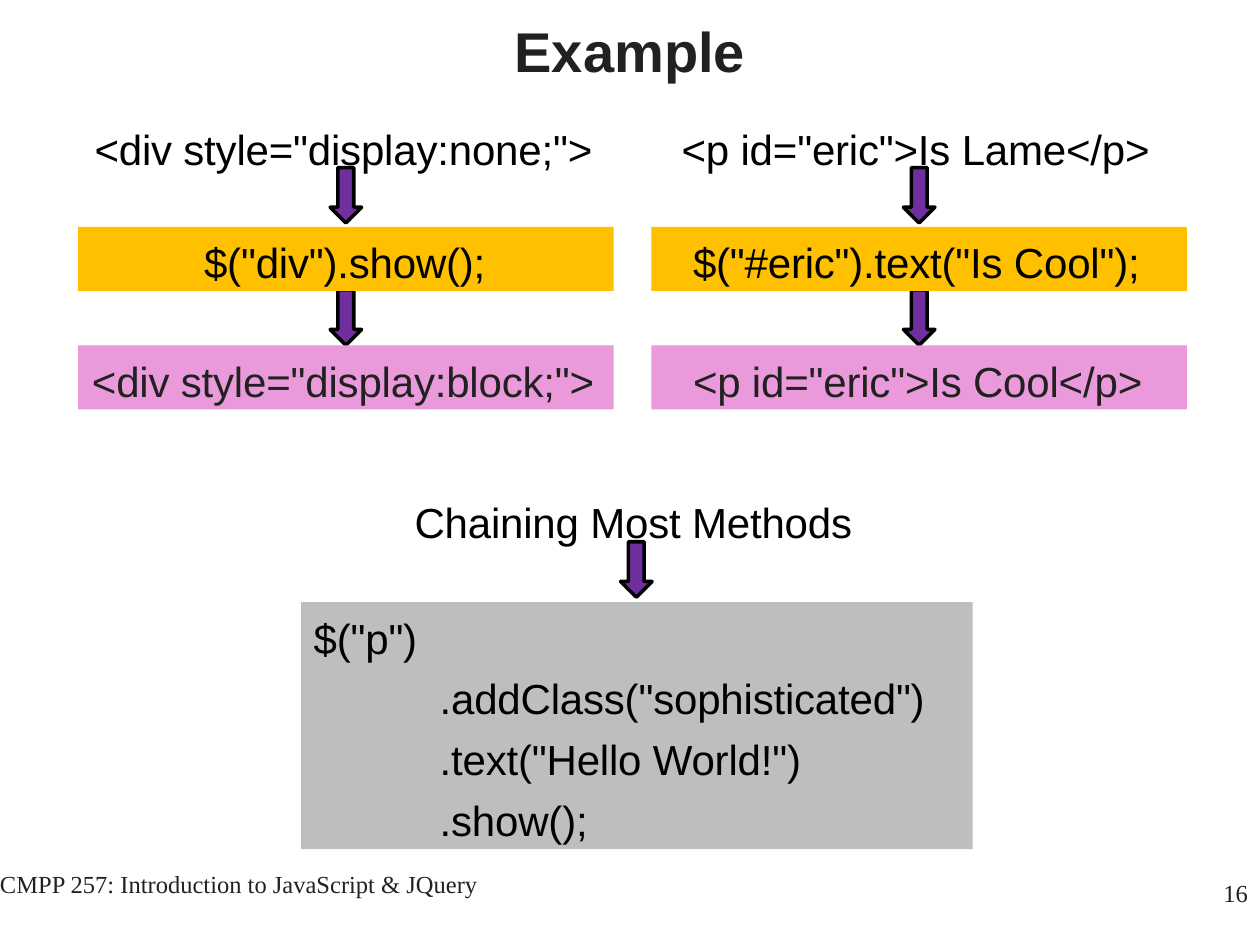
from pptx import Presentation, util as u
from pptx.dml import color
from pptx.enum import shapes, text

TITLE = "Example"
FOOTER = "CMPP 257: Introduction to JavaScript & JQuery"
PAGE_NUMBER = "16"
BLACK, DARK, GREY = "000000", "212121", "BEBEBE"
ORANGE, PINK, PURPLE = "FFC000", "EA9ADB", "6F2F9F"
COLUMNS = [
    {
        "left": 0.62,
        "before": ('<div style="display:none;">', 0.13),
        "call": ('$("div").show();', 1),
        "after": ('<div style="display:block;">', 0.11),
    },
    {
        "left": 5.17,
        "before": ('<p id="eric">Is Lame</p>', 0.24),
        "call": ('$("#eric").text("Is Cool");', 0.33),
        "after": ('<p id="eric">Is Cool</p>', 0.33),
    },
]
CHAIN_TITLE = "Chaining Most Methods"
CHAIN = [
    ('$("p")', 0.1),
    ('.addClass("sophisticated")', 1.1),
    ('.text("Hello World!")', 1.1),
    (".show();", 1.1),
]
COLUMN_WIDTH, BOX_HEIGHT = 4.25, 0.51
ARROW_WIDTH, ARROW_HEIGHT = 0.25, 0.44


def rgb(value):
    """Turn a hex string into a colour."""
    return color.RGBColor.from_string(value)


def place(shape, left, top, width, height):
    """Move and size a shape in inches."""
    shape.left, shape.top = u.Inches(left), u.Inches(top)
    shape.width, shape.height = u.Inches(width), u.Inches(height)


def prepare(shape, inset, wrap=True):
    """Set up a text frame anchored at the top and return it."""
    frame = shape.text_frame
    frame.auto_size = text.MSO_AUTO_SIZE.NONE
    frame.word_wrap = wrap
    frame.vertical_anchor = text.MSO_ANCHOR.TOP
    frame.margin_left = frame.margin_right = frame.margin_bottom = 0
    frame.margin_top = u.Inches(inset)
    return frame


def write(para, words, size=24, ink=BLACK, font="Arial", indent=0, before=0,
          align=text.PP_ALIGN.LEFT, bold=False, tracking=0):
    """Write one formatted run into a paragraph."""
    para.alignment = align
    para.space_before = u.Pt(before)
    para._p.get_or_add_pPr().set("marL", str(u.Inches(indent)))
    span = para.add_run()
    span.text = words
    span.font.name, span.font.size, span.font.bold = font, u.Pt(size), bold
    span.font.color.rgb = rgb(ink)
    if tracking:
        span._r.get_or_add_rPr().set("spc", str(tracking))


def add_label(page, words, left, top, width, height, inset=0, **style):
    """Add a plain line of text."""
    box = page.shapes.add_textbox(0, 0, 0, 0)
    place(box, left, top, width, height)
    write(prepare(box, inset, False).paragraphs[0], words, **style)


def add_solid(page, kind, fill, left, top, width, height):
    """Add a filled shape without outline or shadow."""
    shape = page.shapes.add_shape(kind, 0, 0, 0, 0)
    place(shape, left, top, width, height)
    shape.shadow.inherit = False
    shape.fill.solid()
    shape.fill.fore_color.rgb = rgb(fill)
    shape.line.fill.background()
    return shape


def add_arrow(page, center, top):
    """Add a down arrow centred on a column."""
    arrow = add_solid(page, shapes.MSO_SHAPE.DOWN_ARROW, PURPLE,
                      center - ARROW_WIDTH / 2, top, ARROW_WIDTH, ARROW_HEIGHT)
    arrow.line.color.rgb = rgb(BLACK)
    arrow.line.width = u.Pt(2)


def add_code(page, lines, fill, left, top, width, height, ink=BLACK):
    """Add a filled box holding lines of code."""
    box = add_solid(page, shapes.MSO_SHAPE.RECTANGLE, fill, left, top, width, height)
    frame = prepare(box, 0.08)
    for number, (words, indent) in enumerate(lines):
        para = frame.add_paragraph() if number else frame.paragraphs[0]
        write(para, words, ink=ink, indent=indent, before=5.8 if number else 0,
              tracking=-10)


def main():
    """Build the slide."""
    deck = Presentation()
    deck.slide_width, deck.slide_height = u.Inches(10), u.Inches(7.5)
    page = deck.slides.add_slide(deck.slide_layouts[5])

    title = page.shapes.title
    place(title, 0, 0.1, 10, 0.56)
    write(prepare(title, 0.03).paragraphs[0], TITLE, size=32, ink=DARK,
          align=text.PP_ALIGN.CENTER, bold=True)

    for column in COLUMNS:
        left = column["left"]
        for top in (1.33, 2.3):
            add_arrow(page, left + COLUMN_WIDTH / 2, top)
        words, indent = column["before"]
        add_label(page, words, left + indent, 0.95, 4.01, 0.43, 0.03, tracking=-10)
        for key, top, fill, ink in (("call", 1.8, ORANGE, BLACK),
                                    ("after", 2.74, PINK, DARK)):
            add_code(page, [column[key]], fill, left, top, COLUMN_WIDTH, BOX_HEIGHT, ink)

    add_arrow(page, 5.05, 4.3)
    add_label(page, CHAIN_TITLE, 3.29, 3.91, 3.53, 0.43, 0.03, tracking=-10)
    add_code(page, CHAIN, GREY, 2.39, 4.78, 5.33, 1.96)

    small = {"size": 14, "ink": DARK, "font": "Times New Roman"}
    add_label(page, FOOTER, 0, 6.9, 4, 0.5, **small)
    add_label(page, PAGE_NUMBER, 9.71, 6.97, 0.25, 0.24, **small)
    deck.save("out.pptx")


if __name__ == "__main__":
    main()
